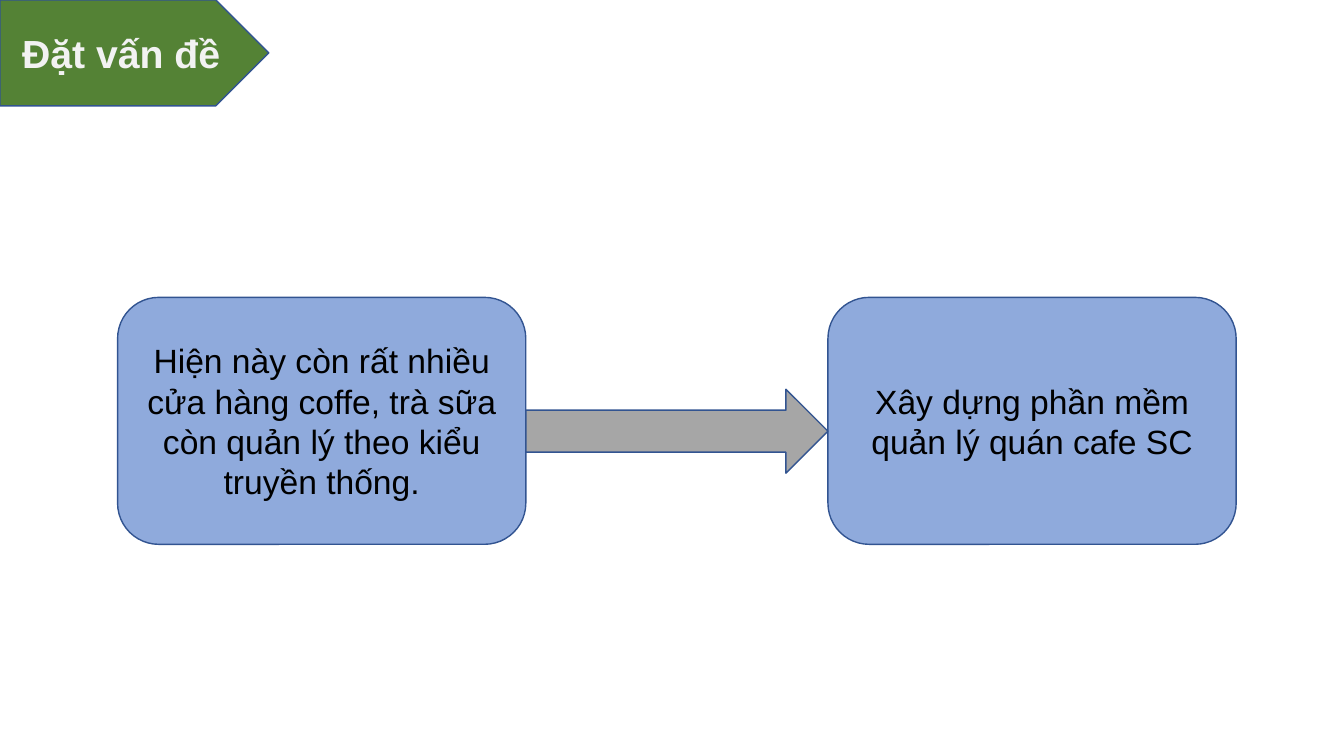
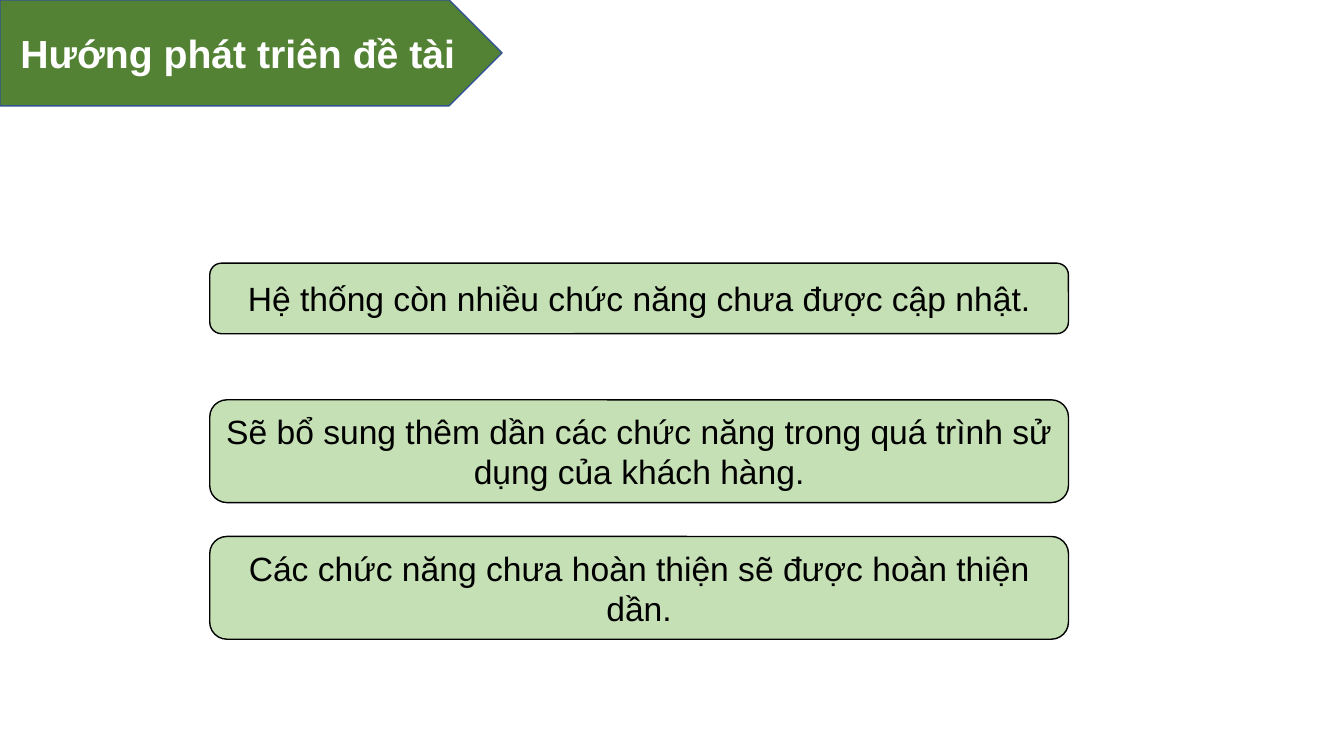
from dataclasses import dataclass

from pptx import Presentation
from pptx.dml.color import RGBColor
from pptx.enum.shapes import MSO_SHAPE
from pptx.enum.text import MSO_ANCHOR, MSO_AUTO_SIZE, PP_ALIGN
from pptx.shapes.autoshape import Shape
from pptx.slide import Slide
from pptx.util import Pt

GREEN = RGBColor(0x54, 0x82, 0x35)
PALE_GREEN = RGBColor(0xC5, 0xE0, 0xB4)
BLUE = RGBColor(0x8F, 0xAA, 0xDC)
NAVY = RGBColor(0x32, 0x54, 0x91)
GRAY = RGBColor(0xA6, 0xA6, 0xA6)
OFF_WHITE = RGBColor(0xF2, 0xF2, 0xF2)
WHITE = RGBColor(0xFF, 0xFF, 0xFF)
BLACK = RGBColor(0x00, 0x00, 0x00)

TITLE_FONT = {"name": "Arial", "size": Pt(28), "bold": True}
BODY_FONT = {"name": "Arial", "size": Pt(24), "bold": False}
FRAME = {"word_wrap": True, "auto_size": MSO_AUTO_SIZE.NONE,
         "vertical_anchor": MSO_ANCHOR.MIDDLE}
BAND_H = 75.6
TITLE_ONLY = 5


@dataclass(frozen=True)
class Box:
    left: float
    top: float
    width: float
    height: float
    fill: RGBColor
    line: RGBColor = NAVY
    text: str = ""
    kind: MSO_SHAPE = MSO_SHAPE.ROUNDED_RECTANGLE


def set_attrs(obj: object, values: dict) -> None:
    for name, value in values.items():
        setattr(obj, name, value)


def write(sp: Shape, text: str, font: dict, color: RGBColor) -> None:
    tf = sp.text_frame
    set_attrs(tf, FRAME)
    p = tf.paragraphs[0]
    p.alignment = PP_ALIGN.CENTER
    r = p.add_run()
    r.text = text
    set_attrs(r.font, font)
    r.font.color.rgb = color


def add_box(s: Slide, box: Box) -> Shape:
    sp = s.shapes.add_shape(box.kind, Pt(box.left), Pt(box.top),
                            Pt(box.width), Pt(box.height))
    sp.shadow.inherit = False
    sp.fill.solid()
    sp.fill.fore_color.rgb = box.fill
    sp.line.color.rgb = box.line
    sp.line.width = Pt(1)
    if box.text:
        write(sp, box.text, BODY_FONT, BLACK)
    return sp


def add_slide(prs: Presentation, title: str, width: float,
              color: RGBColor, boxes: list[Box]) -> None:
    s = prs.slides.add_slide(prs.slide_layouts[TITLE_ONLY])
    band = add_box(s, Box(0, 0, width, BAND_H, GREEN, kind=MSO_SHAPE.PENTAGON))
    sp = s.shapes.title
    set_attrs(sp, {"left": 0, "top": 0, "width": Pt(width - BAND_H / 4),
                   "height": Pt(BAND_H)})
    write(sp, title, TITLE_FONT, color)
    band._element.addnext(sp._element)
    for box in boxes:
        add_box(s, box)


def problem_boxes() -> list[Box]:
    left, top, width, height, gap = 84, 212.4, 291.6, 176.4, 215.8
    texts = ["Hiện này còn rất nhiều cửa hàng coffe, trà sữa còn quản lý theo kiểu truyền thống.",
             "Xây dựng phần mềm quản lý quán cafe SC"]
    boxes = [Box(left + i * (width + gap), top, width, height, BLUE, text=text)
             for i, text in enumerate(texts)]
    arrow = Box(left + width, 278, gap, 60, GRAY, kind=MSO_SHAPE.RIGHT_ARROW)
    return [*boxes, arrow]


def plan_boxes() -> list[Box]:
    left, top, width, pitch = 149.8, 188, 613.4, 97.6
    rows = [("Hệ thống còn nhiều chức năng chưa được cập nhật.", 50.4),
            ("Sẽ bổ sung thêm dần các chức năng trong quá trình sử dụng của khách hàng.", 73.4),
            ("Các chức năng chưa hoàn thiện sẽ được hoàn thiện dần.", 73.4)]
    return [Box(left, top + i * pitch, width, height, PALE_GREEN, BLACK, text)
            for i, (text, height) in enumerate(rows)]


def main() -> None:
    """Build the problem and outlook slides."""
    prs = Presentation()
    set_attrs(prs, {"slide_width": Pt(960), "slide_height": Pt(540)})
    add_slide(prs, "Đặt vấn đề", 192, OFF_WHITE, problem_boxes())
    add_slide(prs, "Hướng phát triên đề tài", 358.6, WHITE, plan_boxes())
    prs.save("out.pptx")


if __name__ == "__main__":
    main()
